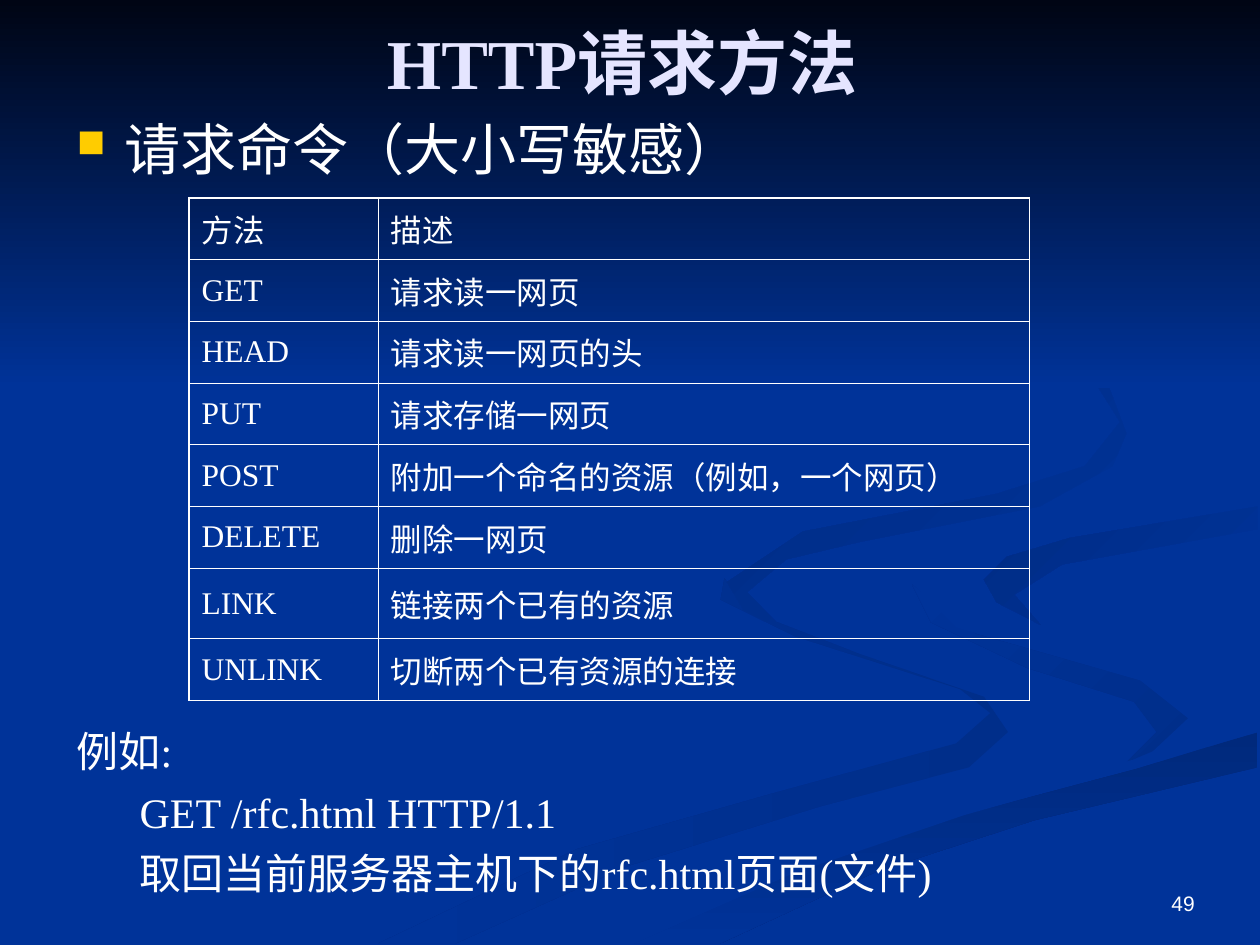
"""Builds a slide on the HTTP request methods."""
from lxml import etree
from pptx import Presentation
from pptx import util as u
from pptx.dml.color import RGBColor
from pptx.enum import shapes, text
from pptx.oxml.ns import qn

WHITE = RGBColor(0xFF, 0xFF, 0xFF)
LAVENDER = RGBColor(0xE5, 0xE5, 0xFF)
GOLD = RGBColor(0xFF, 0xCC, 0x00)
BLUE = RGBColor(0x00, 0x33, 0x99)
NIGHT = RGBColor(0x00, 0x05, 0x14)
SHADE = RGBColor(0x00, 0x2E, 0x8A)
DEEP_SHADE = RGBColor(0x00, 0x29, 0x7C)
TIP_SHADE = RGBColor(0x00, 0x2C, 0x85)
CURL_SHADE = RGBColor(0x00, 0x2B, 0x81)
SERIF = "Times New Roman"

TITLE = "HTTP请求方法 "
TOPIC = "请求命令（大小写敏感）"
PAGE = "49"
METHODS = [
    ("方法", "描述"),
    ("GET", "请求读一网页"),
    ("HEAD", "请求读一网页的头"),
    ("PUT", "请求存储一网页"),
    ("POST", "附加一个命名的资源（例如，一个网页）"),
    ("DELETE", "删除一网页"),
    ("LINK", "链接两个已有的资源"),
    ("UNLINK", "切断两个已有资源的连接"),
]
UNSPACED = {"DELETE", "链接两个已有的资源", "切断两个已有资源的连接"}
COLUMN_WIDTHS = (1.5, 5.17)
ROW_HEIGHT, LINK_HEIGHT = 0.49, 0.56
OUTER, INNER = 1.08, 0.45
EXAMPLE = [
    ("例如:", 0, 0.38, -0.38),
    ("GET /rfc.html HTTP/1.1", 1, 0.81, -0.31),
    ("取回当前服务器主机下的rfc.html页面(文件)", 1, 0.81, -0.31),
]

RIBBONS = [
    (SHADE, BLUE, 180, [
        (781, 553), (682, 519), (594, 485), (575, 459), (572, 476), (631, 505),
        (762, 547), (786, 566), (759, 590), (616, 629), (458, 674), (300, 749),
        (361, 749), (499, 687), (651, 640), (769, 609), (800, 581)]),
    (SHADE, BLUE, 225, [
        (943, 570), (905, 540), (774, 503), (724, 464), (739, 494), (815, 530),
        (900, 557), (918, 581), (894, 605), (932, 589)]),
    (DEEP_SHADE, BLUE, 90, [
        (503, 749), (571, 749), (695, 692), (821, 651), (998, 609), (998, 581),
        (903, 610), (764, 647), (630, 693)]),
    (BLUE, BLUE, 0, [
        (725, 464), (759, 498), (905, 540), (943, 570), (911, 600), (743, 643),
        (619, 684), (477, 749), (503, 749), (630, 693), (765, 647), (999, 581),
        (999, 538), (866, 509), (781, 463), (822, 434), (999, 402), (999, 387),
        (788, 422), (732, 446)]),
    (BLUE, TIP_SHADE, 225, [
        (781, 460), (791, 478), (826, 496), (805, 472), (843, 448), (998, 420),
        (998, 402), (849, 427), (799, 442)]),
    (BLUE, CURL_SHADE, 225, [
        (683, 430), (825, 402), (883, 370), (894, 344), (880, 307), (762, 233),
        (862, 292), (889, 335), (861, 370), (791, 392), (637, 422), (577, 462),
        (590, 484), (622, 500), (593, 470), (624, 444)]),
]


def shade(shape, start, end, angle):
    """Fills a borderless shape with a flat colour or a clockwise gradient."""
    shape.shadow.inherit = False
    shape.line.fill.background()
    if start == end:
        shape.fill.solid()
        shape.fill.fore_color.rgb = start
        return
    shape.fill.gradient()
    shape.fill.gradient_angle = (360 - angle) % 360
    for stop, color in zip(shape.fill.gradient_stops, (start, end)):
        stop.color.rgb = color


def write(paragraph, words, size, font=SERIF, color=WHITE, bold=False,
          align=text.PP_ALIGN.LEFT, before=0, level=0, margin=0, indent=0, bullet=None):
    """Puts formatted words into a paragraph."""
    paragraph.alignment = align
    paragraph.level = level
    paragraph.space_before = u.Pt(before)
    run = paragraph.add_run()
    run.text = words
    run.font.name, run.font.size, run.font.bold = font, u.Pt(size), bold
    run.font.color.rgb = color
    props = paragraph._p.get_or_add_pPr()
    props.set("marL", str(u.Inches(margin)))
    props.set("indent", str(u.Inches(indent)))
    if bullet:
        tint = etree.SubElement(props, qn("a:buClr"))
        etree.SubElement(tint, qn("a:srgbClr"), val=str(GOLD))
        etree.SubElement(props, qn("a:buSzPct"), val="70000")
        etree.SubElement(props, qn("a:buChar"), char=bullet)


def add_frame(slide, left, top, width, height, anchor=text.MSO_ANCHOR.TOP):
    """Adds a wrapping text box and returns its text frame."""
    box = slide.shapes.add_textbox(*map(u.Inches, (left, top, width, height)))
    box.text_frame.word_wrap = True
    box.text_frame.vertical_anchor = anchor
    return box.text_frame


def outline(cell, widths):
    """Draws white cell borders from a mapping of side to width in points."""
    props = cell._tc.get_or_add_tcPr()
    for side, width in widths.items():
        line = etree.SubElement(props, qn(f"a:ln{side}"), w=str(u.Pt(width)))
        fill = etree.SubElement(line, qn("a:solidFill"))
        etree.SubElement(fill, qn("a:srgbClr"), val=str(WHITE))


def add_methods(slide):
    """Adds the table of request methods."""
    heights = [LINK_HEIGHT if name == "LINK" else ROW_HEIGHT for name, _ in METHODS]
    last_row, last_column = len(METHODS) - 1, len(COLUMN_WIDTHS) - 1
    area = (1.5, 1.57, sum(COLUMN_WIDTHS), sum(heights))
    table = slide.shapes.add_table(len(METHODS), len(COLUMN_WIDTHS), *map(u.Inches, area)).table
    table.first_row = table.horz_banding = False
    for column, width in zip(table.columns, COLUMN_WIDTHS):
        column.width = u.Inches(width)
    for r, (method, height) in enumerate(zip(METHODS, heights)):
        table.rows[r].height = u.Inches(height)
        for c, words in enumerate(method):
            cell = table.cell(r, c)
            cell.vertical_anchor = text.MSO_ANCHOR.MIDDLE
            write(cell.text_frame.paragraphs[0], words, 18, before=0 if words in UNSPACED else 4.5)
            edges = {"L": c == 0, "R": c == last_column, "T": r == 0, "B": r == last_row}
            outline(cell, {side: OUTER if edge else INNER for side, edge in edges.items()})
            cell.fill.background()


def main():
    """Lays out the slide and saves it."""
    deck = Presentation()
    deck.slide_width, deck.slide_height = u.Inches(10), u.Inches(7.5)
    slide = deck.slides.add_slide(deck.slide_layouts[6])
    slide.background.fill.solid()
    slide.background.fill.fore_color.rgb = BLUE

    for start, end, angle, points in RIBBONS:
        ribbon = slide.shapes.build_freeform(*points[0], scale=u.Inches(0.01))
        ribbon.add_line_segments(points[1:], close=True)
        shade(ribbon.convert_to_shape(), start, end, angle)
    sky = slide.shapes.add_shape(shapes.MSO_SHAPE.RECTANGLE, 0, 0, deck.slide_width, u.Inches(3.08))
    shade(sky, NIGHT, BLUE, 90)

    middle = text.MSO_ANCHOR.MIDDLE
    page = add_frame(slide, 7.5, 7, 2.08, 0.33, middle)
    write(page.paragraphs[0], PAGE, 12, font="Arial", align=text.PP_ALIGN.RIGHT)
    title = add_frame(slide, 0.5, 0.21, 9, 0.56, middle)
    write(title.paragraphs[0], TITLE, 40, color=LAVENDER, bold=True, align=text.PP_ALIGN.CENTER)
    topic = add_frame(slide, 0.51, 0.86, 8.94, 0.89)
    write(topic.paragraphs[0], TOPIC, 32, before=8, margin=0.38, indent=-0.38, bullet="■")
    add_methods(slide)
    example = add_frame(slide, 0.51, 5.71, 8.94, 1.59)
    for i, (words, level, margin, indent) in enumerate(EXAMPLE):
        paragraph = example.add_paragraph() if i else example.paragraphs[0]
        write(paragraph, words, 24, before=6, level=level, margin=margin, indent=indent)

    deck.save("out.pptx")


if __name__ == "__main__":
    main()
